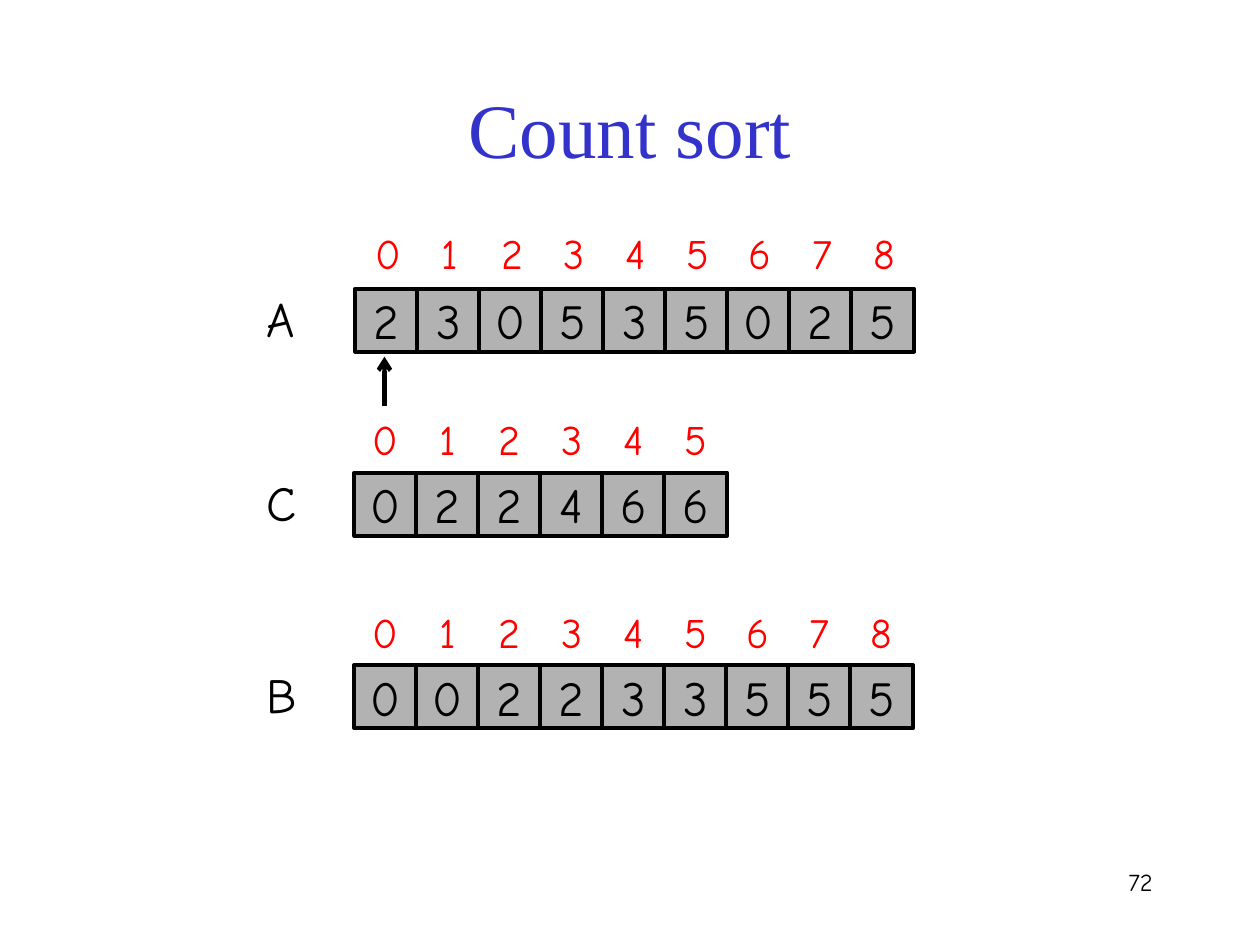
import pptx
import pptx.dml.color
import pptx.enum.shapes
import pptx.enum.text
import pptx.oxml
import pptx.oxml.ns
import pptx.util
from pptx.util import Cm

HUES = {"ink": "000000", "cell": "B2B2B2", "page": "FFFFFF",
        "index": "FF0000", "title": "3333CC"}
FONT = "Comic Neue"
SIDE = 1.27
STEP = 1.25
ALIGN = pptx.enum.text.PP_ALIGN
ANCHOR = pptx.enum.text.MSO_ANCHOR


def hue(key):
    return pptx.dml.color.RGBColor.from_string(HUES[key])


def write(frame, text, size, key="ink", align=ALIGN.LEFT, face=FONT):
    para = frame.paragraphs[0]
    para.alignment = align
    run = para.add_run()
    run.text = text
    run.font.name = face
    run.font.size = pptx.util.Pt(size)
    run.font.color.rgb = hue(key)


def add_title(slide, text):
    title = slide.shapes.title
    title.left, title.top = Cm(0), Cm(1.5)
    title.width, title.height = Cm(25.4), Cm(2.13)
    frame = title.text_frame
    frame.auto_size = pptx.enum.text.MSO_AUTO_SIZE.NONE
    frame.vertical_anchor = ANCHOR.MIDDLE
    write(frame, text, 44, "title", ALIGN.CENTER, "Times New Roman")


def add_text(slide, text, left, top, width, height, size, align=ALIGN.LEFT):
    box = slide.shapes.add_textbox(Cm(left), Cm(top), Cm(width), Cm(height))
    box.text_frame.word_wrap = True
    write(box.text_frame, text, size, align=align)


def add_box(shapes, text, left, top, size, fill, ink):
    kind = pptx.enum.shapes.MSO_SHAPE.RECTANGLE
    box = shapes.add_shape(kind, Cm(left), Cm(top), Cm(SIDE), Cm(SIDE))
    box.shadow.inherit = False
    box.fill.solid()
    box.fill.fore_color.rgb = hue(fill)
    frame = box.text_frame
    frame.word_wrap = False
    frame.vertical_anchor = ANCHOR.MIDDLE
    write(frame, text, size, ink, ALIGN.CENTER)
    return box


def add_array(slide, name, vals, left, top, head_left, head_top):
    for col, val in enumerate(vals):
        box = add_box(slide.shapes, val, left + col * STEP, top,
                      28, "cell", "ink")
        box.line.color.rgb = hue("ink")
        box.line.width = pptx.util.Pt(2.25)
    add_text(slide, name, 5.13, top - 0.13, 1.32, 1.45, 28)
    group = slide.shapes.add_group_shape()
    for col in range(len(vals)):
        box = add_box(group.shapes, str(col), head_left + col * STEP,
                      head_top, 24, "page", "index")
        box.line.fill.background()


def add_arrow(slide, left, start, end):
    kind = pptx.enum.shapes.MSO_CONNECTOR.STRAIGHT
    line = slide.shapes.add_connector(kind, Cm(left), Cm(start),
                                      Cm(left), Cm(end))
    line.line.color.rgb = hue("ink")
    line.line.width = pptx.util.Pt(2.5)
    make = pptx.oxml.parse_xml
    space = pptx.oxml.ns.nsdecls("a")
    line.line._get_or_add_ln().append(
        make(f'<a:tailEnd {space} type="arrow"/>'))
    line._element.spPr.append(make(f"<a:effectLst {space}/>"))


def main():
    deck = pptx.Presentation()
    deck.slide_width, deck.slide_height = Cm(25.4), Cm(19.05)
    slide = deck.slides.add_slide(deck.slide_layouts[5])
    add_title(slide, "Count sort")
    add_array(slide, "A", "230535025", 7.16, 5.82, 7.19, 4.45)
    add_array(slide, "C", "022466", 7.14, 9.53, 7.14, 8.2)
    add_array(slide, "B", "002233555", 7.14, 13.41, 7.14, 12.09)
    add_arrow(slide, 7.75, 8.18, 7.19)
    add_text(slide, "72", 18.21, 17.35, 5.28, 1.27, 14, ALIGN.RIGHT)
    deck.save("out.pptx")


if __name__ == "__main__":
    main()
